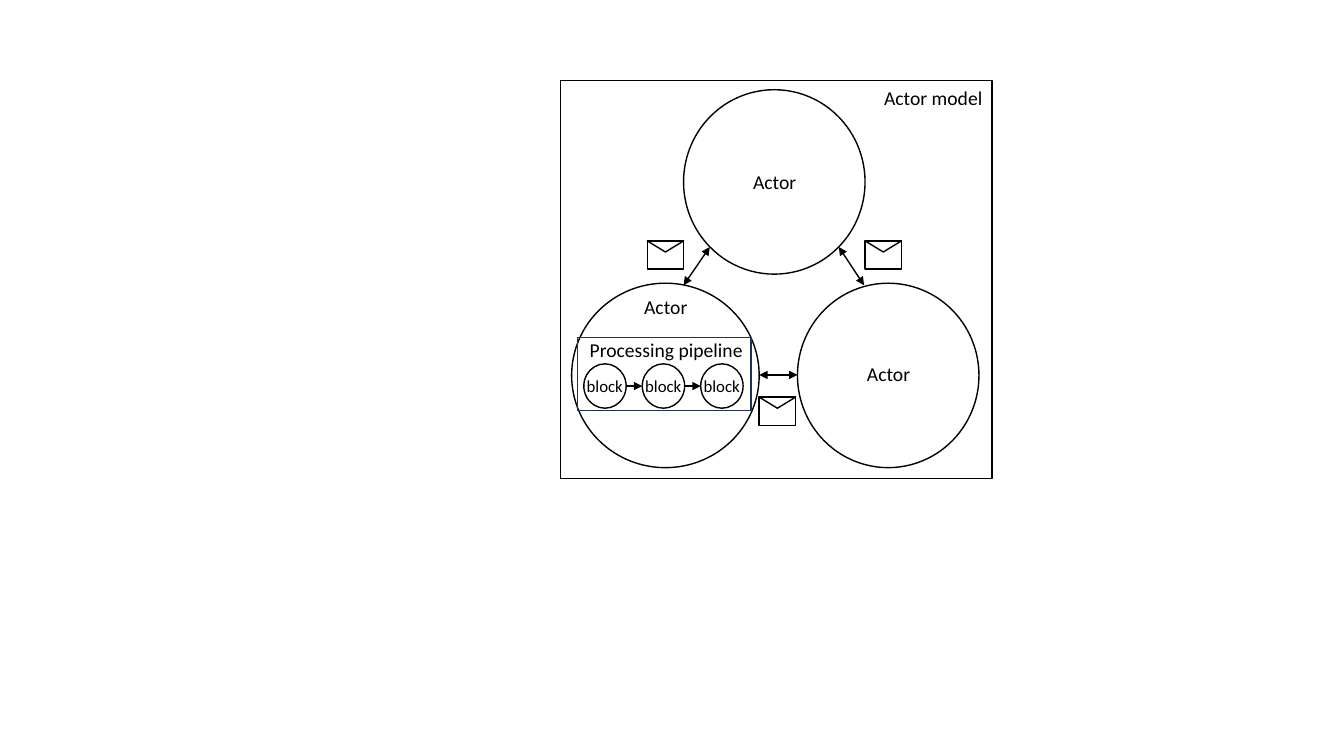
from lxml.etree import SubElement
from pptx import Presentation
from pptx.dml.color import RGBColor
from pptx.enum.shapes import MSO_CONNECTOR, MSO_SHAPE
from pptx.oxml.ns import qn
from pptx.util import Inches, Pt

BLACK = RGBColor(0x00, 0x00, 0x00)
NAVY = RGBColor(0x1E, 0x32, 0x56)
FONT = "Calibri"


def add_outline(shapes, kind, left, top, width, height, color=BLACK):
    shape = shapes.add_shape(kind, Inches(left), Inches(top), Inches(width), Inches(height))
    shape.shadow.inherit = False
    shape.fill.background()
    shape.line.color.rgb = color
    shape.line.width = Pt(1)
    return shape


def add_label(slide, text, left, top, width, height=0.34, size=14):
    label = slide.shapes.add_textbox(Inches(left), Inches(top), Inches(width), Inches(height))
    label.text_frame.text = text
    label.text_frame.word_wrap = True
    font = label.text_frame.paragraphs[0].runs[0].font
    font.name = FONT
    font.size = Pt(size)
    font.color.rgb = BLACK


def add_arrow(slide, start, end, both_ways=False):
    arrow = slide.shapes.add_connector(
        MSO_CONNECTOR.STRAIGHT, *(Inches(value) for value in (*start, *end)))
    arrow.line.color.rgb = BLACK
    arrow.line.width = Pt(1)
    line = arrow.line._get_or_add_ln()
    if both_ways:
        SubElement(line, qn("a:headEnd"), type="triangle")
    SubElement(line, qn("a:tailEnd"), type="triangle")
    SubElement(arrow._element.spPr, qn("a:effectLst"))


def add_envelope(slide, left, top):
    group = slide.shapes.add_group_shape()
    add_outline(group.shapes, MSO_SHAPE.RECTANGLE, left, top, 0.36, 0.28)
    flap = add_outline(group.shapes, MSO_SHAPE.ISOSCELES_TRIANGLE, left, top, 0.36, 0.11)
    flap.rotation = 180


def add_actor(slide, left, top, width, label_top):
    add_outline(slide.shapes, MSO_SHAPE.OVAL, left, top, width, 1.83)
    add_label(slide, "Actor", left + width / 2 - 0.31, top + label_top, 0.65)


def add_pipeline(slide, left, top):
    add_outline(slide.shapes, MSO_SHAPE.RECTANGLE, left, top, 1.72, 0.72, NAVY)
    add_label(slide, "Processing pipeline", left + 0.02, top - 0.05, 1.86)
    diameter, pitch, count = 0.42, 0.58, 3
    middle = top + 0.48
    for index in range(count):
        block_left = left + 0.06 + index * pitch
        add_outline(slide.shapes, MSO_SHAPE.OVAL, block_left, middle - 0.22, diameter, 0.44)
        add_label(slide, "block", block_left - 0.07, middle - 0.15, 0.58, 0.3, 12)
        if index < count - 1:
            add_arrow(slide, (block_left + diameter, middle), (block_left + pitch, middle))


def add_actor_model(slide, left, top):
    add_outline(slide.shapes, MSO_SHAPE.RECTANGLE, left, top, 4.28, 3.95)
    add_label(slide, "Actor model", left + 3.11, top, 1.53)

    actors = [(1.22, 0.09, 1.8, 0.75), (0.11, 2.01, 1.86, 0.07), (2.35, 2.01, 1.8, 0.73)]
    for x, y, width, label_top in actors:
        add_actor(slide, left + x, top + y, width, label_top)
    add_pipeline(slide, left + 0.17, top + 2.55)

    messages = [
        ((1.48, 1.65), (1.22, 2.03), (0.86, 1.59)),
        ((2.76, 1.65), (3.01, 2.03), (3.02, 1.59)),
        ((1.97, 2.92), (2.35, 2.92), (1.97, 3.14)),
    ]
    for start, end, envelope in messages:
        add_arrow(slide, (left + start[0], top + start[1]),
                  (left + end[0], top + end[1]), both_ways=True)
        add_envelope(slide, left + envelope[0], top + envelope[1])


def main():
    presentation = Presentation()
    presentation.slide_width = Inches(13.33)
    presentation.slide_height = Inches(7.5)
    slide = presentation.slides.add_slide(presentation.slide_layouts[6])
    add_actor_model(slide, 5.56, 0.8)
    presentation.save("out.pptx")


if __name__ == "__main__":
    main()
